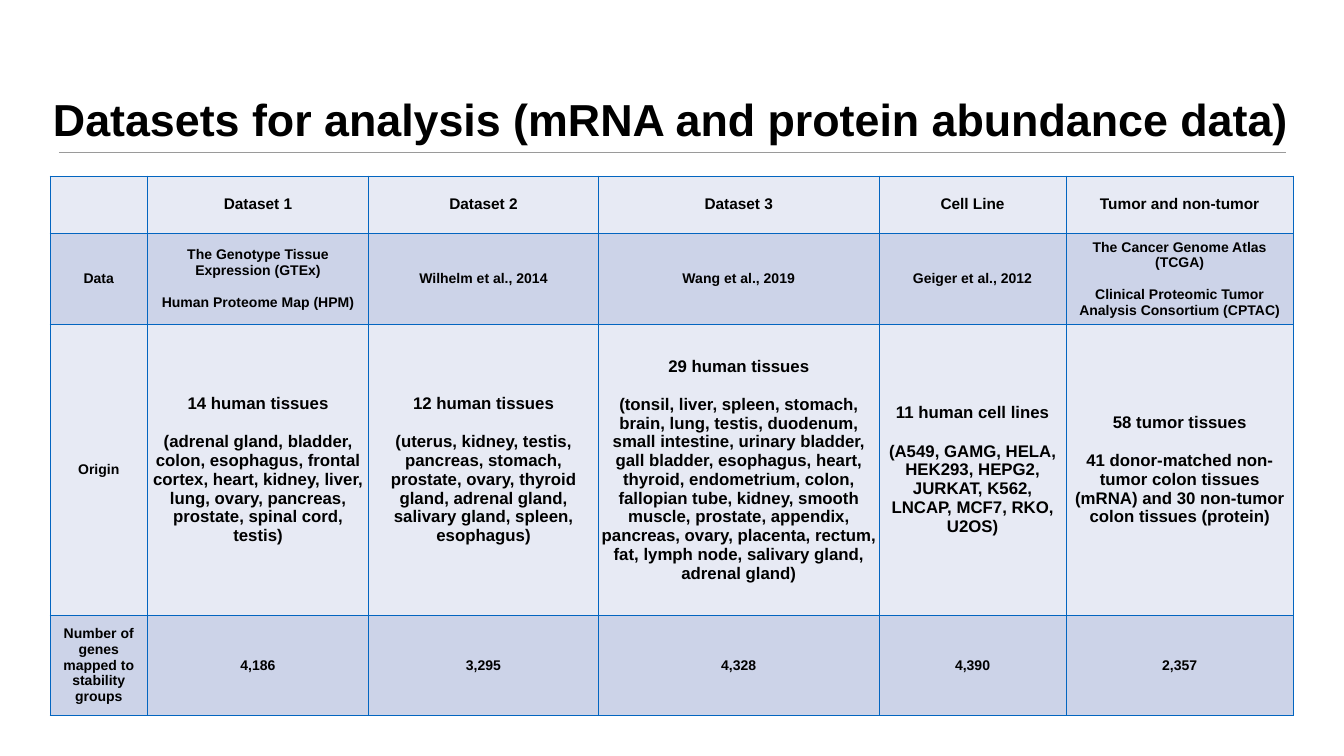
import pptx
import pptx.dml.color
import pptx.enum.shapes
import pptx.enum.text
import pptx.oxml
import pptx.oxml.ns
import pptx.util

PX = 9144
BLACK = pptx.dml.color.RGBColor(0x00, 0x00, 0x00)
RULE_GREY = pptx.dml.color.RGBColor(0x9A, 0x9A, 0x9A)
BORDER_BLUE = pptx.dml.color.RGBColor(0x03, 0x65, 0xC0)
BANDS = (
    pptx.dml.color.RGBColor(0xE7, 0xEA, 0xF4),
    pptx.dml.color.RGBColor(0xCC, 0xD3, 0xE8),
)
LINE_SPACING = 1.15
LABEL_SIZE = 20
COLUMN_WIDTHS = (194, 438, 457, 556, 372, 450)
ROW_HEIGHTS = (113, 182, 576, 200)
ROW_SIZES = (22, 20, 24, 20)
ROWS = (
    ("", "Dataset 1", "Dataset 2", "Dataset 3", "Cell Line", "Tumor and non-tumor"),
    (
        "Data",
        "The Genotype Tissue Expression (GTEx)\nHuman Proteome Map (HPM)",
        "Wilhelm et al., 2014",
        "Wang et al., 2019",
        "Geiger et al., 2012",
        "The Cancer Genome Atlas (TCGA)\n"
        "Clinical Proteomic Tumor Analysis Consortium (CPTAC)",
    ),
    (
        "Origin",
        "14 human tissues\n(adrenal gland, bladder, colon, esophagus, frontal cortex, "
        "heart, kidney, liver, lung, ovary, pancreas, prostate, spinal cord, testis)",
        "12 human tissues\n(uterus, kidney, testis, pancreas, stomach, prostate, ovary, "
        "thyroid gland, adrenal gland, salivary gland, spleen, esophagus)",
        "29 human tissues\n(tonsil, liver, spleen, stomach, brain, lung, testis, "
        "duodenum, small intestine, urinary bladder, gall bladder, esophagus, heart, "
        "thyroid, endometrium, colon, fallopian tube, kidney, smooth muscle, prostate, "
        "appendix, pancreas, ovary, placenta, rectum, fat, lymph node, salivary gland, "
        "adrenal gland)",
        "11 human cell lines\n(A549, GAMG, HELA, HEK293, HEPG2, JURKAT, K562, LNCAP, "
        "MCF7, RKO, U2OS)",
        "58 tumor tissues\n41 donor-matched non-tumor colon tissues (mRNA) and "
        "30 non-tumor colon tissues (protein)",
    ),
    (
        "Number of genes mapped to stability groups",
        "4,186", "3,295", "4,328", "4,390", "2,357",
    ),
)


def px(length):
    return pptx.util.Emu(length * PX)


def apply_format(target, values):
    for name, value in values.items():
        setattr(target, name, value)


def format_font(font, size):
    apply_format(font, {"name": "Arial", "size": pptx.util.Pt(size), "bold": True})
    font.color.rgb = BLACK


def add_title(slide, left, top, width, height):
    title = slide.shapes.title
    apply_format(title, {
        "left": px(left), "top": px(top), "width": px(width), "height": px(height),
    })
    frame = title.text_frame
    frame.text = "Datasets for analysis (mRNA and protein abundance data)"
    apply_format(frame, {
        "word_wrap": True,
        "auto_size": pptx.enum.text.MSO_AUTO_SIZE.NONE,
        "vertical_anchor": pptx.enum.text.MSO_ANCHOR.BOTTOM,
        "margin_left": px(6), "margin_right": px(6),
        "margin_top": px(6), "margin_bottom": px(6),
    })
    paragraph = frame.paragraphs[0]
    apply_format(paragraph, {
        "alignment": pptx.enum.text.PP_ALIGN.LEFT,
        "line_spacing": 1.0,
        "space_before": pptx.util.Pt(0),
    })
    format_font(paragraph.font, 64)


def add_rule(slide, left, top, width):
    rule = slide.shapes.add_connector(
        pptx.enum.shapes.MSO_CONNECTOR.STRAIGHT,
        px(left), px(top), px(left + width), px(top),
    )
    rule.line.color.rgb = RULE_GREY
    rule.line.width = pptx.util.Pt(1)
    properties = rule._element.spPr
    properties.append(properties.makeelement(pptx.oxml.ns.qn("a:effectLst"), {}))


def add_borders(cell):
    properties = cell._tc.get_or_add_tcPr()
    for side in ("L", "R", "T", "B"):
        properties.append(pptx.oxml.parse_xml(
            f'<a:ln{side} {pptx.oxml.ns.nsdecls("a")} w="{pptx.util.Pt(1)}">'
            f'<a:solidFill><a:srgbClr val="{BORDER_BLUE}"/></a:solidFill>'
            f'</a:ln{side}>'
        ))


def fill_cell(cell, text, size, band):
    add_borders(cell)
    cell.fill.solid()
    cell.fill.fore_color.rgb = band
    apply_format(cell, {
        "vertical_anchor": pptx.enum.text.MSO_ANCHOR.MIDDLE,
        "margin_left": px(5), "margin_right": px(5),
        "margin_top": px(5), "margin_bottom": px(5),
    })
    cell.text_frame.text = text
    for index, paragraph in enumerate(cell.text_frame.paragraphs):
        paragraph.alignment = pptx.enum.text.PP_ALIGN.CENTER
        if index:
            paragraph.space_before = pptx.util.Pt(round(size * LINE_SPACING))
        format_font(paragraph.font, size)


def add_dataset_table(slide, left, top):
    table = slide.shapes.add_table(
        len(ROWS), len(COLUMN_WIDTHS), px(left), px(top),
        px(sum(COLUMN_WIDTHS)), px(sum(ROW_HEIGHTS)),
    ).table
    apply_format(table, {"first_row": False, "horz_banding": False})
    for column, width in zip(table.columns, COLUMN_WIDTHS):
        column.width = px(width)
    for row_index, texts in enumerate(ROWS):
        table.rows[row_index].height = px(ROW_HEIGHTS[row_index])
        for column_index, text in enumerate(texts):
            size = ROW_SIZES[row_index] if column_index else LABEL_SIZE
            fill_cell(table.cell(row_index, column_index), text, size,
                      BANDS[row_index % 2])


def main():
    presentation = pptx.Presentation()
    presentation.slide_width = px(2667)
    presentation.slide_height = px(1500)
    slide = presentation.slides.add_slide(presentation.slide_layouts[5])
    add_title(slide, 99, 79, 2468, 215)
    add_rule(slide, 117, 303, 2434)
    add_dataset_table(slide, 99, 349)
    presentation.save("out.pptx")


if __name__ == "__main__":
    main()
